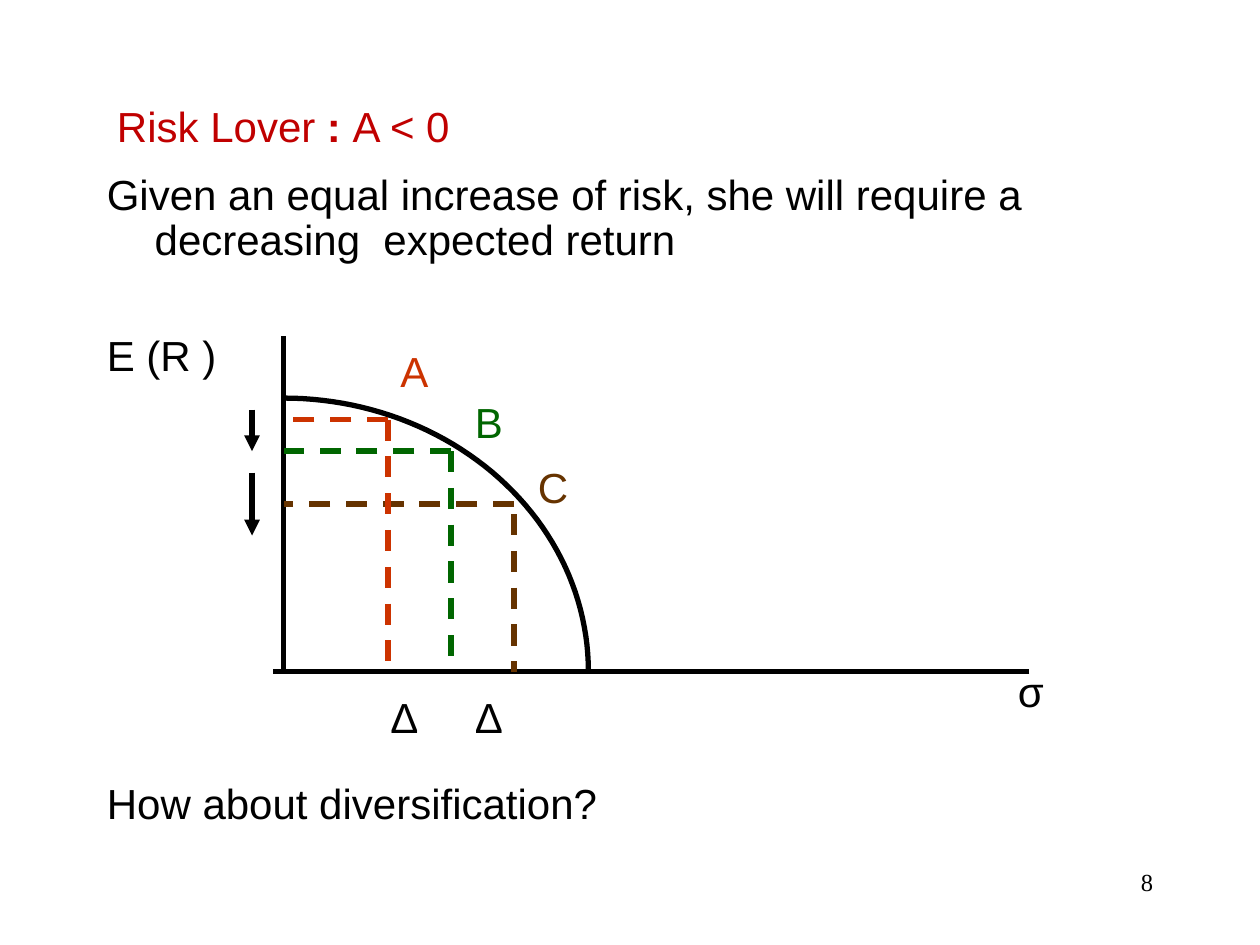
import math

from lxml import etree
from pptx import Presentation
from pptx import util as u
from pptx.dml.color import RGBColor
from pptx.enum import dml, shapes, text
from pptx.oxml.ns import qn

BLACK, RED, ORANGE, GREEN, BROWN = "000000", "C00000", "CC3300", "006600", "663300"
ORIGIN_X, ORIGIN_Y = 2.25, 5.33
CURVE_WIDTH, CURVE_HEIGHT = 2.42, 2.17


def color(value):
    return RGBColor.from_string(value)


def style_line(line, value):
    line.color.rgb = color(value)
    line.width = u.Pt(3)


def add_text(slide, box, runs, value=BLACK, size=24, font="Arial"):
    shape = slide.shapes.add_textbox(*(u.Inches(n) for n in box))
    frame = shape.text_frame
    frame.word_wrap = True
    paragraph = frame.paragraphs[0]
    for content, bold in runs:
        run = paragraph.add_run()
        run.text = content
        run.font.name = font
        run.font.size = u.Pt(size)
        run.font.bold = bold
        run.font.color.rgb = color(value)
    return frame


def add_line(slide, start, end, value=BLACK, dashed=False, arrow=False):
    points = [u.Inches(n) for n in (*start, *end)]
    connector = slide.shapes.add_connector(shapes.MSO_CONNECTOR.STRAIGHT, *points)
    style_line(connector.line, value)
    properties = connector._element.spPr
    if dashed:
        connector.line.dash_style = dml.MSO_LINE.DASH
    if arrow:
        etree.SubElement(properties.find(qn("a:ln")), qn("a:tailEnd"), type="triangle")
    etree.SubElement(properties, qn("a:effectLst"))


def add_curve(slide, steps=48):
    angles = [math.pi / 2 * step / steps for step in range(steps + 1)]
    points = [
        (
            u.Inches(ORIGIN_X + CURVE_WIDTH * math.sin(angle)),
            u.Inches(ORIGIN_Y - CURVE_HEIGHT * math.cos(angle)),
        )
        for angle in angles
    ]
    builder = slide.shapes.build_freeform(*points[0])
    builder.add_line_segments(points[1:], close=False)
    shape = builder.convert_to_shape()
    shape.shadow.inherit = False
    shape.fill.background()
    style_line(shape.line, BLACK)


def add_guides(slide, x, y, top, bottom, value):
    add_line(slide, (x, y), (ORIGIN_X, y), value, dashed=True)
    add_line(slide, (x, top), (x, bottom), value, dashed=True)


def add_headings(slide):
    title = add_text(
        slide,
        (0.83, 0.62, 5.08, 0.75),
        [("Risk Lover", False), (" : ", True), ("A < 0", False)],
        RED,
    )
    title.vertical_anchor = text.MSO_ANCHOR.MIDDLE
    statement = "Given an equal increase of risk, she will require a decreasing  expected return"
    body = add_text(slide, (0.75, 1.33, 8.5, 0.9), [(statement, False)])
    paragraph = body.paragraphs[0]
    paragraph.line_spacing = 0.9
    indent = paragraph._p.get_or_add_pPr()
    indent.set("marL", str(u.Inches(0.38)))
    indent.set("indent", str(u.Inches(-0.38)))
    add_text(slide, (0.75, 6.12, 8.5, 0.5), [("How about diversification?", False)])


def add_graph(slide):
    add_line(slide, (8.17, ORIGIN_Y), (2.17, ORIGIN_Y))
    add_line(slide, (ORIGIN_X, ORIGIN_Y), (ORIGIN_X, 2.67))
    add_curve(slide)
    for guide in (
        (3.58, 3.58, 3.58, 5.25, GREEN),
        (4.08, 4, 4.08, ORIGIN_Y, BROWN),
        (3.08, 3.33, 3.33, ORIGIN_Y, ORANGE),
    ):
        add_guides(slide, *guide)
    for top, bottom in ((3.25, 3.58), (3.75, 4.25)):
        add_line(slide, (2, top), (2, bottom), arrow=True)
    for label, left, top, width, value in (
        ("E (R )", 0.75, 2.57, 1.3, BLACK),
        ("σ", 7.98, 5.23, 0.5, BLACK),
        ("A", 3.08, 2.69, 0.58, ORANGE),
        ("B", 3.67, 3.1, 0.42, GREEN),
        ("C", 4.17, 3.61, 0.67, BROWN),
        ("Δ", 3, 5.44, 0.5, BLACK),
        ("Δ", 3.67, 5.44, 0.42, BLACK),
    ):
        add_text(slide, (left, top, width, 0.5), [(label, False)], value)


def add_page_number(slide):
    frame = add_text(
        slide, (7.17, 6.83, 2.08, 0.5), [("8", False)], size=14, font="Times New Roman"
    )
    frame.paragraphs[0].alignment = text.PP_ALIGN.RIGHT


def main():
    presentation = Presentation()
    presentation.slide_width = u.Inches(10)
    presentation.slide_height = u.Inches(7.5)
    slide = presentation.slides.add_slide(presentation.slide_layouts[6])
    add_page_number(slide)
    add_headings(slide)
    add_graph(slide)
    presentation.save("out.pptx")


if __name__ == "__main__":
    main()
